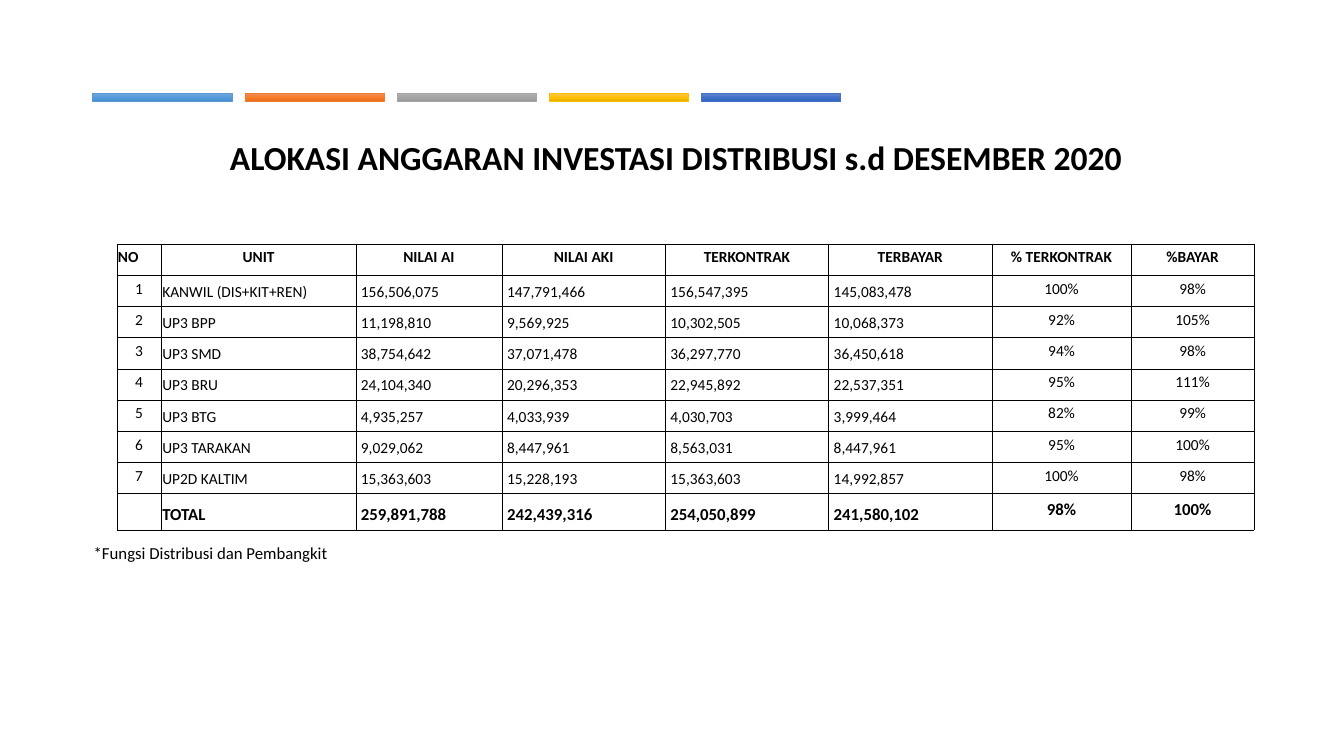
from pptx import Presentation
from pptx.dml.color import RGBColor
from pptx.enum.shapes import MSO_SHAPE
from pptx.enum.text import MSO_ANCHOR, PP_ALIGN
from pptx.oxml import parse_xml
from pptx.oxml.ns import nsdecls, qn
from pptx.util import Inches, Pt
from copy import deepcopy

RECTANGLE = MSO_SHAPE.RECTANGLE
TOP, MIDDLE, BOTTOM = MSO_ANCHOR.TOP, MSO_ANCHOR.MIDDLE, MSO_ANCHOR.BOTTOM
LEFT, CENTER = PP_ALIGN.LEFT, PP_ALIGN.CENTER
BLACK = RGBColor(0x00, 0x00, 0x00)

BARS = [
    (RGBColor(0x71, 0xA6, 0xDB), RGBColor(0x55, 0x9B, 0xDB),
     RGBColor(0x44, 0x8A, 0xCA), RGBColor(0x5B, 0x9B, 0xD5)),
    (RGBColor(0xF1, 0x8C, 0x57), RGBColor(0xF6, 0x7B, 0x28),
     RGBColor(0xE5, 0x6C, 0x19), RGBColor(0xED, 0x7D, 0x31)),
    (RGBColor(0xAF, 0xAF, 0xAF), RGBColor(0xA5, 0xA5, 0xA5),
     RGBColor(0x93, 0x93, 0x93), RGBColor(0xA5, 0xA5, 0xA5)),
    (RGBColor(0xFF, 0xC6, 0x4B), RGBColor(0xFF, 0xC0, 0x00),
     RGBColor(0xE3, 0xAB, 0x00), RGBColor(0xFF, 0xC0, 0x00)),
    (RGBColor(0x61, 0x83, 0xCB), RGBColor(0x3E, 0x70, 0xCA),
     RGBColor(0x30, 0x62, 0xBB), RGBColor(0x44, 0x72, 0xC4)),
]

COLUMN_WIDTHS = [0.44, 1.93, 1.45, 1.62, 1.62, 1.62, 1.38, 1.22]
ROWS = [
    ["NO", "UNIT", "NILAI AI", "NILAI AKI", "TERKONTRAK", "TERBAYAR", "% TERKONTRAK", "%BAYAR"],
    ["1", "KANWIL (DIS+KIT+REN)", "156,506,075", "147,791,466", "156,547,395", "145,083,478", "100%", "98%"],
    ["2", "UP3 BPP", "11,198,810", "9,569,925", "10,302,505", "10,068,373", "92%", "105%"],
    ["3", "UP3 SMD", "38,754,642", "37,071,478", "36,297,770", "36,450,618", "94%", "98%"],
    ["4", "UP3 BRU", "24,104,340", "20,296,353", "22,945,892", "22,537,351", "95%", "111%"],
    ["5", "UP3 BTG", "4,935,257", "4,033,939", "4,030,703", "3,999,464", "82%", "99%"],
    ["6", "UP3 TARAKAN", "9,029,062", "8,447,961", "8,563,031", "8,447,961", "95%", "100%"],
    ["7", "UP2D KALTIM", "15,363,603", "15,228,193", "15,363,603", "14,992,857", "100%", "98%"],
    ["", "TOTAL", "259,891,788", "242,439,316", "254,050,899", "241,580,102", "98%", "100%"],
]


def write_text(frame, text, size=11, bold=False, align=LEFT, anchor=TOP):
    frame.word_wrap = True
    frame.vertical_anchor = anchor
    para = frame.paragraphs[0]
    para.alignment = align
    span = para.add_run()
    span.text = text
    span.font.name = "Calibri"
    span.font.size = Pt(size)
    span.font.bold = bold
    span.font.color.rgb = BLACK


def add_borders(cell):
    properties = cell._tc.get_or_add_tcPr()
    for position, side in enumerate(("lnL", "lnR", "lnT", "lnB")):
        properties.insert(position, parse_xml(
            f'<a:{side} {nsdecls("a")} w="6350"><a:solidFill><a:srgbClr val="{BLACK}"/>'
            f'</a:solidFill></a:{side}>'))


deck = Presentation()
deck.slide_width = Inches(13.33)
deck.slide_height = Inches(7.5)
page = deck.slides.add_slide(deck.slide_layouts[6])

for index, (*stop_colors, line_color) in enumerate(BARS):
    bar = page.shapes.add_shape(
        RECTANGLE, Inches(0.92 + 1.51 * index), Inches(0.93), Inches(1.38), Inches(0.08))
    bar.shadow.inherit = False
    bar.line.color.rgb = line_color
    bar.line.width = Pt(0.5)
    bar.fill.gradient()
    bar.fill.gradient_angle = 270
    stop_list = bar._element.spPr.find(".//" + qn("a:gsLst"))
    stop_list.insert(1, deepcopy(stop_list[0]))
    for stop, color, place in zip(bar.fill.gradient_stops, stop_colors, (0, 0.5, 1)):
        stop.color.rgb = color
        stop.position = place

title = page.shapes.add_textbox(Inches(1.6), Inches(1.31), Inches(10.21), Inches(0.91))
write_text(title.text_frame, "ALOKASI ANGGARAN INVESTASI DISTRIBUSI s.d DESEMBER 2020",
           size=24, bold=True, align=CENTER)

footnote = page.shapes.add_textbox(Inches(0.83), Inches(5.34), Inches(3.41), Inches(0.3))
write_text(footnote.text_frame, "*Fungsi Distribusi dan Pembangkit", size=12)

table = page.shapes.add_table(
    len(ROWS), len(COLUMN_WIDTHS), Inches(1.16), Inches(2.42), Inches(11.28), Inches(2.81)).table
table.first_row = False
table.horz_banding = False
for column, width in zip(table.columns, COLUMN_WIDTHS):
    column.width = Inches(width)

last = len(ROWS) - 1
for row_index, values in enumerate(ROWS):
    header, total = row_index == 0, row_index == last
    table.rows[row_index].height = Inches(0.33 if total else 0.31)
    for column_index, value in enumerate(values):
        cell = table.cell(row_index, column_index)
        amount = not header and 2 <= column_index <= 5
        low = not header and 1 <= column_index <= 5
        left = low or (header and column_index == 0)
        cell.margin_left = Inches(0.05 if amount else 0.01)
        cell.margin_right = cell.margin_top = Inches(0.01)
        cell.margin_bottom = Inches(0.05)
        cell.fill.background()
        add_borders(cell)
        write_text(cell.text_frame, value, size=12 if total else 11, bold=header or total,
                   align=LEFT if left else CENTER)
        cell.vertical_anchor = BOTTOM if low else MIDDLE

deck.save("out.pptx")
